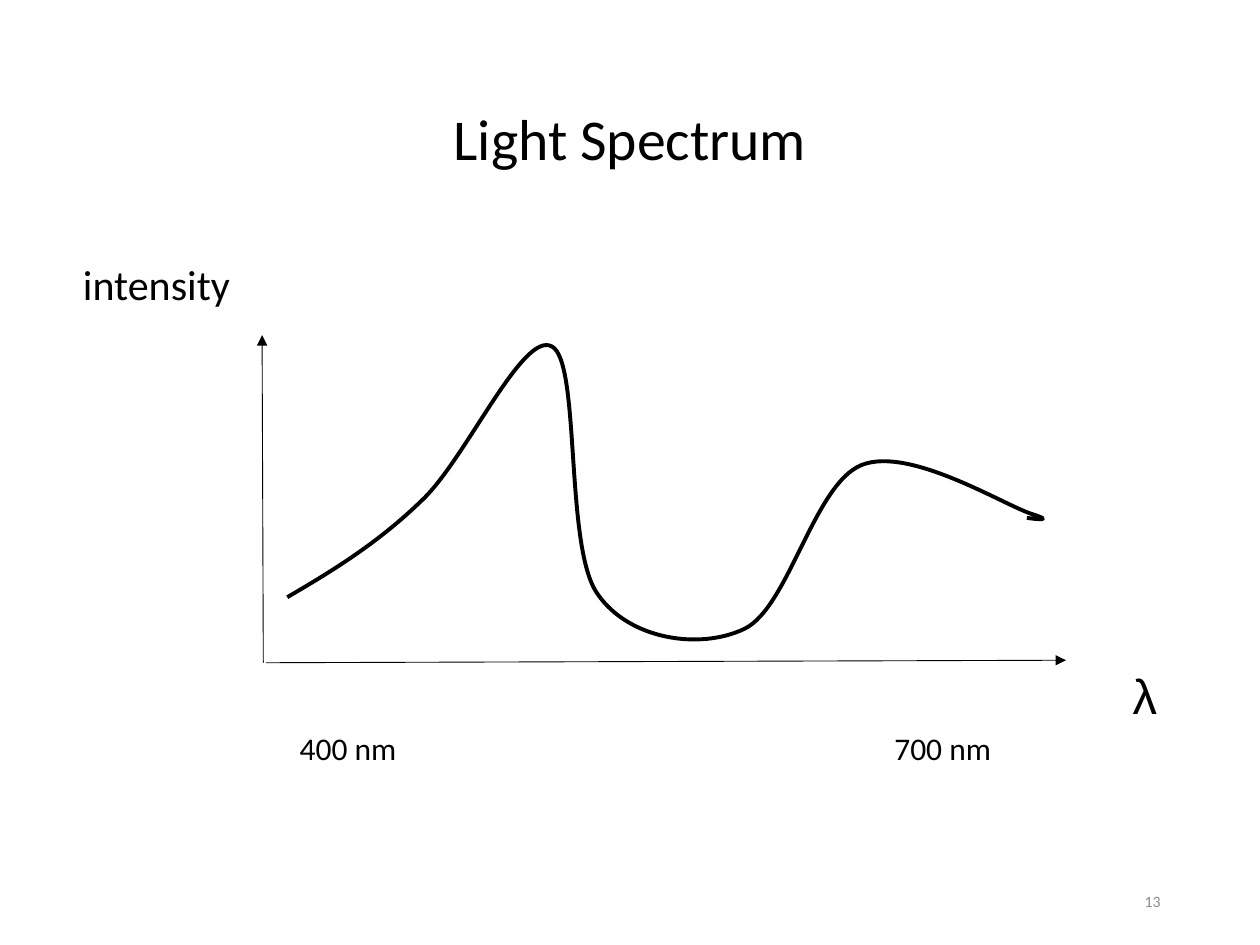
from lxml.etree import SubElement
from pptx import Presentation
from pptx.dml.color import RGBColor
from pptx.enum.shapes import MSO_CONNECTOR as Connector
from pptx.enum.text import MSO_ANCHOR as Anchor, PP_ALIGN as Align
from pptx.oxml.ns import qn
from pptx.util import Inches, Pt

BLACK = RGBColor(0x00, 0x00, 0x00)
GRAY = RGBColor(0x8C, 0x8C, 0x8C)
SPECTRUM_PLACE = (2.28, 2.74, 5.99, 2.34)
SPECTRUM_START = (2.28, 4.74)
SPECTRUM_CURVES = [
    ((2.64, 4.53), (3, 4.31), (3.35, 3.97)),
    ((3.7, 3.64), (4.15, 2.62), (4.38, 2.75)),
    ((4.61, 2.87), (4.48, 4.34), (4.74, 4.71)),
    ((4.99, 5.08), (5.56, 5.16), (5.91, 4.99)),
    ((6.26, 4.82), (6.46, 3.84), (6.84, 3.69)),
    ((7.22, 3.54), (7.97, 4.01), (8.19, 4.08)),
    ((8.41, 4.15), (8.15, 4.11), (8.15, 4.11)),
]


class SlideBuilder:
    def __init__(self, page, font="Calibri", color=BLACK):
        self.page = page
        self.font = font
        self.color = color

    def text(self, words, place, size, anchor=Anchor.TOP, wrap=False,
             tab=None, paragraph_format=None, **font_format):
        box = self.page.shapes.add_textbox(*map(Inches, place))
        frame = box.text_frame
        frame.word_wrap = wrap
        frame.vertical_anchor = anchor
        para = frame.paragraphs[0]
        if tab:
            tabs = SubElement(para._p.get_or_add_pPr(), qn("a:tabLst"))
            SubElement(tabs, qn("a:tab"), pos=str(Inches(tab)), algn="l")
        for name, value in (paragraph_format or {}).items():
            setattr(para, name, value)
        span = para.add_run()
        span.text = words
        style = {"name": self.font, "size": Pt(size), **font_format}
        color = style.pop("color", self.color)
        for name, value in style.items():
            setattr(span.font, name, value)
        span.font.color.rgb = color

    def outline(self, shape, width):
        shape.line.color.rgb = self.color
        shape.line.width = Pt(width)

    def arrow(self, start, end, width=0.5):
        line = self.page.shapes.add_connector(
            Connector.STRAIGHT, *map(Inches, start + end))
        self.outline(line, width)
        SubElement(line.line._get_or_add_ln(), qn("a:tailEnd"), type="triangle")
        SubElement(line._element.spPr, qn("a:effectLst"))

    def curve(self, place, start, segments, width=2.25):
        left, top, wide, high = map(Inches, place)
        builder = self.page.shapes.build_freeform(*map(Inches, start))
        builder.add_line_segments(
            [tuple(map(Inches, segment[-1])) for segment in segments], close=False)
        shape = builder.convert_to_shape()
        frame = {"left": left, "top": top, "width": wide, "height": high}
        for name, value in frame.items():
            setattr(shape, name, value)
        track = next(shape._element.iter(qn("a:path")))
        for child in list(track):
            track.remove(child)
        track.set("w", str(wide))
        track.set("h", str(high))
        steps = [("a:moveTo", (start,))]
        steps += [("a:cubicBezTo", segment) for segment in segments]
        for tag, points in steps:
            step = SubElement(track, qn(tag))
            for x, y in points:
                SubElement(step, qn("a:pt"),
                           x=str(Inches(x) - left), y=str(Inches(y) - top))
        shape.shadow.inherit = False
        shape.fill.background()
        self.outline(shape, width)


def main():
    deck = Presentation()
    deck.slide_width, deck.slide_height = Inches(10), Inches(7.5)
    slide = SlideBuilder(deck.slides.add_slide(deck.slide_layouts[6]))

    slide.text("Light Spectrum", (0.69, 0.4, 8.62, 1.45), 33, Anchor.MIDDLE, True,
               paragraph_format={"alignment": Align.CENTER, "line_spacing": 0.9})
    slide.text("13", (7.06, 6.95, 2.25, 0.4), 9, Anchor.MIDDLE, True,
               paragraph_format={"alignment": Align.RIGHT}, color=GRAY)
    slide.arrow((2.09, 5.26), (2.08, 2.66))
    slide.arrow((2.11, 5.26), (8.46, 5.24))
    slide.text("λ", (8.89, 5.23, 0.42, 0.57), 28, name="Arial")
    slide.text("400 nm\t700 nm", (2.28, 5.74, 5.86, 0.4), 18, wrap=True, tab=4.72)
    slide.text("intensity", (0.56, 2, 1.38, 0.5), 24)
    slide.curve(SPECTRUM_PLACE, SPECTRUM_START, SPECTRUM_CURVES)

    deck.save("out.pptx")


if __name__ == "__main__":
    main()
